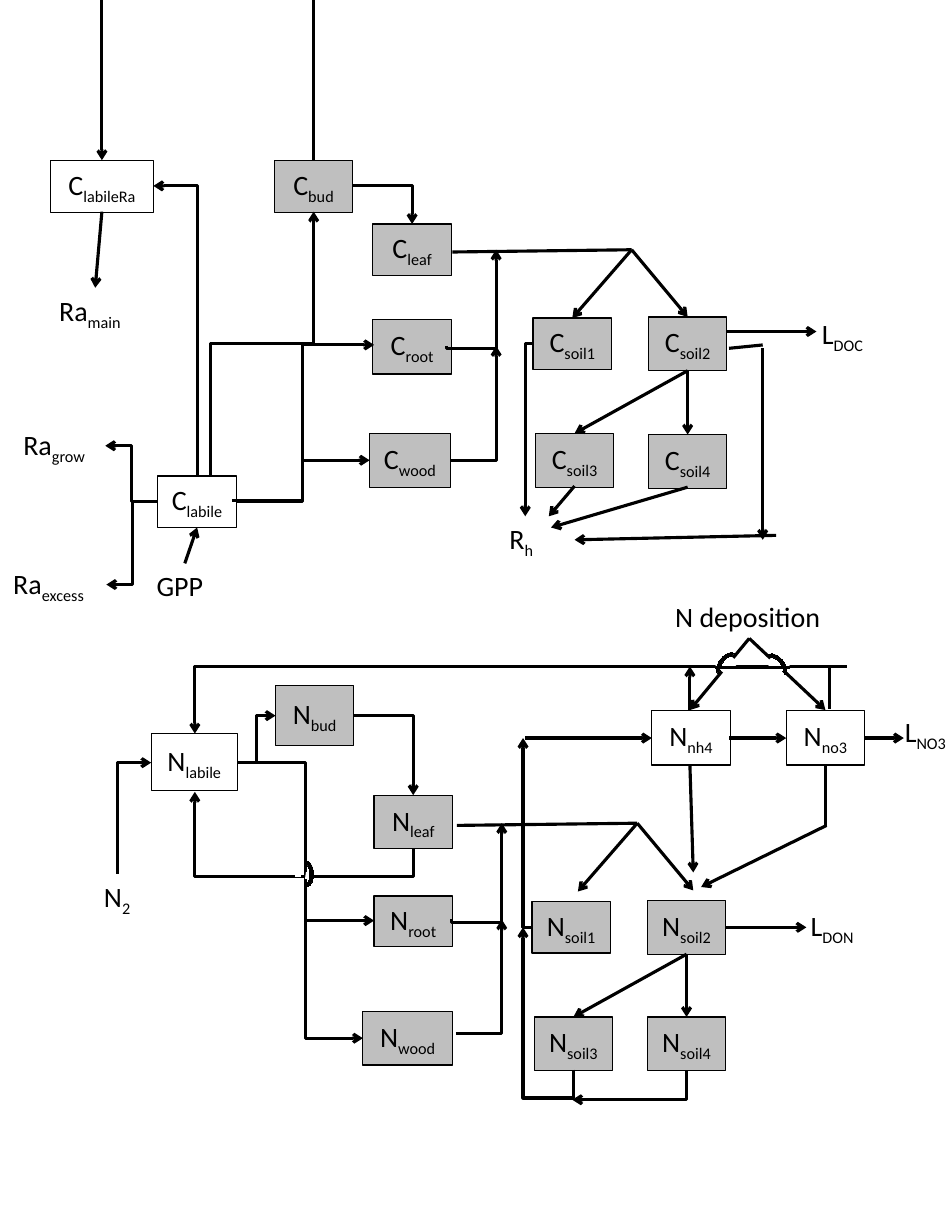
import pptx
import pptx.util
import pptx.dml.color
import pptx.enum.shapes
import pptx.enum.text
import pptx.oxml.ns
from lxml import etree

Inches, Pt, qn = pptx.util.Inches, pptx.util.Pt, pptx.oxml.ns.qn
SHAPES = pptx.enum.shapes.MSO_SHAPE
LINES = pptx.enum.shapes.MSO_CONNECTOR
BLACK, WHITE, GREY = "000000", "FFFFFF", "BFBFBF"

# Pools: symbol, subscript, left, top, width, height, fill
POOLS = [
    ("C", "labileRa", 0.45, 1.43, 0.92, 0.47, None),
    ("C", "labile", 1.41, 4.25, 0.7, 0.46, None),
    ("C", "bud", 2.45, 1.43, 0.7, 0.47, GREY),
    ("C", "leaf", 3.33, 2, 0.7, 0.46, GREY),
    ("C", "root", 3.33, 2.85, 0.7, 0.49, GREY),
    ("C", "wood", 3.3, 3.87, 0.72, 0.48, GREY),
    ("C", "soil1", 4.76, 2.84, 0.7, 0.46, GREY),
    ("C", "soil2", 5.79, 2.83, 0.7, 0.48, GREY),
    ("C", "soil3", 4.78, 3.87, 0.7, 0.48, GREY),
    ("C", "soil4", 5.79, 3.88, 0.7, 0.48, GREY),
    ("N", "labile", 1.35, 6.55, 0.77, 0.51, None),
    ("N", "bud", 2.46, 6.12, 0.7, 0.54, GREY),
    ("N", "leaf", 3.34, 7.1, 0.7, 0.48, GREY),
    ("N", "root", 3.34, 8, 0.7, 0.45, GREY),
    ("N", "wood", 3.24, 9.03, 0.8, 0.48, GREY),
    ("N", "nh4", 5.82, 6.34, 0.7, 0.49, None),
    ("N", "no3", 7.02, 6.34, 0.7, 0.49, None),
    ("N", "soil1", 4.75, 8.05, 0.7, 0.46, GREY),
    ("N", "soil2", 5.78, 8.04, 0.7, 0.48, GREY),
    ("N", "soil3", 4.77, 9.08, 0.7, 0.48, GREY),
    ("N", "soil4", 5.78, 9.08, 0.7, 0.48, GREY),
]

# Inputs and losses: symbol, subscript, left, top, width, wrap
FLUX_LABELS = [
    ("Ra", "main", 0.43, 2.57, 0.83, True),
    ("Ra", "grow", 0.11, 3.77, 0.83, True),
    ("Ra", "excess", 0.02, 5.01, 0.93, True),
    ("GPP", "", 1.3, 5.03, 0.7, True),
    ("R", "h", 4.45, 4.61, 0.47, True),
    ("L", "DOC", 7.24, 2.78, 0.94, True),
    ("N", "2", 0.83, 7.8, 0.45, False),
    ("N deposition", "", 5.93, 5.3, 1.51, False),
    ("L", "NO3", 7.98, 6.33, 0.61, False),
    ("L", "DON", 7.14, 8.06, 0.63, False),
]

# Bent flows: from, to, first direction, position of the middle leg
# (None means a single corner)
BENT_FLOWS = [
    # Carbon
    (2.07, 4.47, 3.34, 3.08, "h", 0.5),
    (2.11, 4.48, 3.3, 4.11, "h", 0.5),
    (1.41, 4.48, 0.94, 3.98, "h", 0.5),
    (1.41, 4.48, 0.95, 5.22, "h", 0.5),
    (1.88, 4.25, 2.8, 1.89, "v", 0.5),
    (1.76, 4.25, 1.37, 1.66, "v", None),
    (3.15, 1.66, 3.68, 2, "h", None),
    (3.99, 3.09, 4.43, 2.23, "v", -0.03),
    (4.02, 4.11, 4.43, 3.09, "h", None),
    (4.76, 3.07, 4.69, 4.61, "h", None),
    # Nitrogen
    (2.12, 6.81, 3.34, 8.22, "h", 0.5),
    (2.73, 7.97, 3.24, 9.27, "v", None),
    (2.12, 6.81, 2.46, 6.39, "h", 0.5),
    (3.16, 6.39, 3.69, 7.1, "h", None),
    (7.56, 5.95, 1.74, 6.55, "h", None),
    (3.69, 7.58, 1.74, 7.07, "v", -0.49),
    (1.05, 7.8, 1.35, 6.81, "v", None),
    (5.12, 9.55, 4.67, 8.28, "v", -0.2),
    (4.75, 8.28, 4.67, 6.59, "h", None),
    (4.03, 8.21, 4.48, 7.35, "v", -0.03),
    (4.07, 9.23, 4.48, 8.21, "h", None),
    (6.13, 9.56, 5.11, 9.82, "v", None),
]

STRAIGHT_FLOWS = [
    # Carbon
    (0.91, 0, 0.91, 1.43), (0.91, 1.89, 0.85, 2.57), (1.65, 5.03, 1.76, 4.71),
    (5.64, 2.23, 5.11, 2.84), (5.64, 2.23, 6.14, 2.83),
    (6.14, 3.31, 5.13, 3.87), (6.14, 3.31, 6.14, 3.88),
    (6.48, 2.96, 7.29, 2.96), (5.13, 4.34, 4.9, 4.61),
    (6.14, 4.35, 4.92, 4.71), (6.81, 3.11, 6.81, 4.82),
    (6.93, 4.78, 5.13, 4.82),
    # Nitrogen
    (6.51, 6.59, 7.02, 6.59), (6.69, 5.7, 6.16, 6.34), (6.69, 5.7, 7.37, 6.34),
    (6.16, 6.34, 6.16, 5.95), (7.38, 7.37, 6.26, 7.92),
    (6.13, 8.52, 5.12, 9.08), (6.13, 8.52, 6.13, 9.08),
    (6.48, 8.28, 7.2, 8.28), (5.69, 7.35, 5.16, 7.96), (5.69, 7.35, 6.19, 7.95),
    (4.69, 6.59, 5.82, 6.59), (6.16, 6.83, 6.19, 7.79), (7.72, 6.59, 8.07, 6.59),
]

PLAIN_LINES = [
    (2.8, 1.43, 2.8, 0), (4.04, 2.25, 5.64, 2.23), (6.51, 3.11, 6.81, 3.08),
    (7.37, 6.83, 7.37, 7.38), (4.08, 7.37, 5.69, 7.35), (7.41, 6.33, 7.41, 5.95),
]

# White gaps where flows cross: from, to, width
CROSSING_GAPS = [
    (2.83, 7.39, 2.83, 7.44, 2), (2.66, 7.75, 2.66, 7.83, 4),
    (2.76, 7.79, 2.75, 7.85, 4), (3.6, 6.09, 3.77, 6.09, 4),
    (6.54, 5.87, 6.44, 5.99, 10), (6.89, 5.87, 7, 5.99, 10),
]

# Bridges over crossings: left, top, rotation
BRIDGES = [(6.82, 5.87, 48.7), (6.37, 5.86, 309), (2.62, 7.74, 90)]


def color(target, value):
    target.rgb = pptx.dml.color.RGBColor.from_string(value)


def write_symbol(frame, symbol, subscript):
    paragraph = frame.paragraphs[0]
    for text, baseline in ((symbol, None), (subscript, "-25000")):
        if text:
            run = paragraph.add_run()
            run.text = text
            run.font.size, run.font.name = Pt(18), "Calibri"
            color(run.font.color, BLACK)
            if baseline:
                run.font.element.set("baseline", baseline) if hasattr(run.font, "element") \
                    else run.font._element.set("baseline", baseline)
    return paragraph


def outlined(slide, preset, box, fill, width):
    shape = slide.shapes.add_shape(preset, *map(Inches, box))
    shape.shadow.inherit = False
    if fill:
        shape.fill.solid()
        color(shape.fill.fore_color, fill)
    else:
        shape.fill.background()
    color(shape.line.color, BLACK)
    shape.line.width = Pt(width)
    return shape


def pool(slide, symbol, subscript, left, top, width, height, fill):
    shape = outlined(slide, SHAPES.RECTANGLE, (left, top, width, height), fill, 0.75)
    shape.text_frame.vertical_anchor = pptx.enum.text.MSO_ANCHOR.MIDDLE
    paragraph = write_symbol(shape.text_frame, symbol, subscript)
    paragraph.alignment = pptx.enum.text.PP_ALIGN.CENTER


def flux_label(slide, symbol, subscript, left, top, width, wrap):
    frame = slide.shapes.add_textbox(*map(Inches, (left, top, width, 0.4))).text_frame
    frame.word_wrap = wrap
    frame.auto_size = pptx.enum.text.MSO_AUTO_SIZE.SHAPE_TO_FIT_TEXT
    write_symbol(frame, symbol, subscript)


def line(slide, ends, arrow=False, stroke=BLACK, width=2, kind=LINES.STRAIGHT):
    connector = slide.shapes.add_connector(kind, *map(Inches, ends))
    color(connector.line.color, stroke)
    connector.line.width = Pt(width)
    properties = connector.element.spPr
    if arrow:
        etree.SubElement(properties.find(qn("a:ln")), qn("a:tailEnd"), type="arrow")
    etree.SubElement(properties, qn("a:effectLst"))
    return connector


def bent_flow(slide, x1, y1, x2, y2, first, middle):
    # Turn the preset so that its first leg runs in the wanted direction
    width, height = abs(x2 - x1), abs(y2 - y1)
    if first == "v":
        width, height = height, width
        turn, flip_h, flip_v = 90, y2 < y1, x2 > x1
    elif x2 < x1:
        turn, flip_h, flip_v = 180, False, y2 > y1
    else:
        turn, flip_h, flip_v = 0, False, y2 < y1
    left, top = (x1 + x2 - width) / 2, (y1 + y2 - height) / 2
    connector = line(slide, (left, top, left + width, top + height), True, kind=LINES.ELBOW)
    frame = connector.element.spPr.find(qn("a:xfrm"))
    for name, value in (("rot", turn * 60000), ("flipH", flip_h), ("flipV", flip_v)):
        if value:
            frame.set(name, str(int(value)))
    geometry = connector.element.spPr.find(qn("a:prstGeom"))
    if middle is None:
        geometry.set("prst", "bentConnector2")
    else:
        etree.SubElement(geometry.find(qn("a:avLst")), qn("a:gd"),
                         name="adj1", fmla=f"val {round(middle * 100000)}")


def main():
    deck = pptx.Presentation()
    deck.slide_width, deck.slide_height = Inches(8.5), Inches(11)
    slide = deck.slides.add_slide(deck.slide_layouts[6])
    # Pools and labels
    for item in POOLS:
        pool(slide, *item)
    for item in FLUX_LABELS:
        flux_label(slide, *item)
    # Flows
    for item in BENT_FLOWS:
        bent_flow(slide, *item)
    for ends in STRAIGHT_FLOWS:
        line(slide, ends, arrow=True)
    for ends in PLAIN_LINES:
        line(slide, ends)
    # Crossings
    for *ends, width in CROSSING_GAPS:
        line(slide, ends, stroke=WHITE, width=width)
    line(slide, (7.05, 5.96, 6.38, 5.96))
    for left, top, turn in BRIDGES:
        bridge = outlined(slide, SHAPES.BLOCK_ARC, (left, top, 0.23, 0.13), BLACK, 0.01)
        bridge.rotation = turn
    deck.save("out.pptx")


main()
